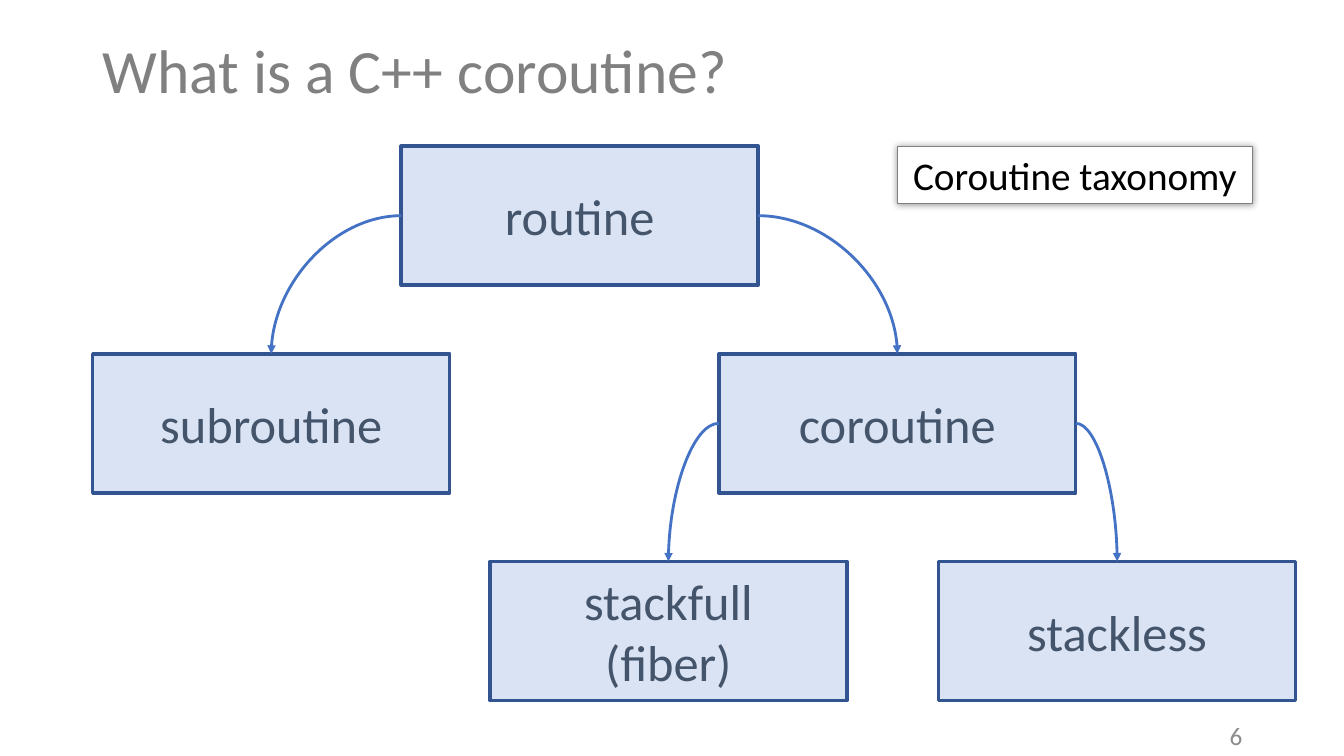
from lxml import etree
from pptx import Presentation
from pptx.dml.color import RGBColor
from pptx.enum.shapes import MSO_CONNECTOR, MSO_SHAPE
from pptx.enum.text import MSO_ANCHOR, PP_ALIGN
from pptx.oxml.ns import qn
from pptx.util import Inches, Pt

CURVE = MSO_CONNECTOR.CURVE
RECTANGLE = MSO_SHAPE.RECTANGLE
MIDDLE = MSO_ANCHOR.MIDDLE
LEFT, CENTER, RIGHT = PP_ALIGN.LEFT, PP_ALIGN.CENTER, PP_ALIGN.RIGHT

TITLE_ONLY = 5
TOP_SITE, LEFT_SITE, RIGHT_SITE = 0, 1, 3
NODE_WIDTH, NODE_HEIGHT = 3.54, 1.38
FIRST_ROW, ROW_STEP = 1.45, 2.06
NODES = {
    "routine": (3.98, 0),
    "subroutine": (0.92, 1),
    "coroutine": (7.13, 1),
    "stackfull\n(fiber)": (4.86, 2),
    "stackless": (9.31, 2),
}
BRANCHES = [
    ("routine", LEFT_SITE, "subroutine"),
    ("routine", RIGHT_SITE, "coroutine"),
    ("coroutine", LEFT_SITE, "stackfull\n(fiber)"),
    ("coroutine", RIGHT_SITE, "stackless"),
]


def color(value):
    return RGBColor.from_string(value)


def write(box, text, size, shade, align):
    frame = box.text_frame
    frame.word_wrap = True
    frame.vertical_anchor = MIDDLE
    frame.text = text
    for para in frame.paragraphs:
        para.alignment = align
        para.font.name = "Calibri"
        para.font.size = Pt(size)
        para.font.color.rgb = color(shade)


def add_title(page, text):
    title = page.shapes.title
    title.left, title.top = Inches(0.92), Inches(0)
    title.width, title.height = Inches(11.5), Inches(1.45)
    write(title, text, 44, "808080", LEFT)
    title.text_frame.paragraphs[0].line_spacing = 0.9


def add_box(page, place, fill, line, line_width):
    box = page.shapes.add_shape(RECTANGLE, *map(Inches, place))
    box.shadow.inherit = False
    box.fill.solid()
    box.fill.fore_color.rgb = color(fill)
    box.line.color.rgb = color(line)
    box.line.width = Pt(line_width)
    return box


def add_node(page, text, left, row):
    place = (left, FIRST_ROW + row * ROW_STEP, NODE_WIDTH, NODE_HEIGHT)
    node = add_box(page, place, "DAE3F3", "325491", 2.5)
    write(node, text, 36, "44546A", CENTER)
    return node


def add_branch(page, parent, side, child):
    branch = page.shapes.add_connector(CURVE, 0, 0, 0, 0)
    branch.begin_connect(parent, side)
    branch.end_connect(child, TOP_SITE)
    branch.line.color.rgb = color("4472C4")
    branch.line.width = Pt(2)
    properties = branch._element.spPr
    properties.find(qn("a:prstGeom")).set("prst", "curvedConnector2")
    etree.SubElement(branch.line._get_or_add_ln(), qn("a:tailEnd"), type="triangle")
    etree.SubElement(properties, qn("a:effectLst"))


def add_caption(page, text):
    caption = add_box(page, (8.9, 1.45, 3.52, 0.57), "FFFFFF", "808080", 0.75)
    write(caption, text, 28, "000000", CENTER)
    caption.text_frame.word_wrap = False
    effects = caption._element.spPr.find(qn("a:effectLst"))
    shadow = etree.SubElement(effects, qn("a:outerShdw"), blurRad=str(Pt(5)), dist="0")
    black = etree.SubElement(shadow, qn("a:srgbClr"), val="000000")
    etree.SubElement(black, qn("a:alpha"), val="40000")


def add_page_number(page, number):
    box = page.shapes.add_textbox(Inches(9.42), Inches(7.1), Inches(3), Inches(0.4))
    write(box, number, 18, "8C8C8C", RIGHT)


def main():
    deck = Presentation()
    deck.slide_width, deck.slide_height = Inches(13.33), Inches(7.5)
    page = deck.slides.add_slide(deck.slide_layouts[TITLE_ONLY])
    add_title(page, "What is a C++ coroutine?")
    add_page_number(page, "6")
    nodes = {text: add_node(page, text, *spot) for text, spot in NODES.items()}
    for parent, side, child in BRANCHES:
        add_branch(page, nodes[parent], side, nodes[child])
    add_caption(page, "Coroutine taxonomy")
    deck.save("out.pptx")


if __name__ == "__main__":
    main()
